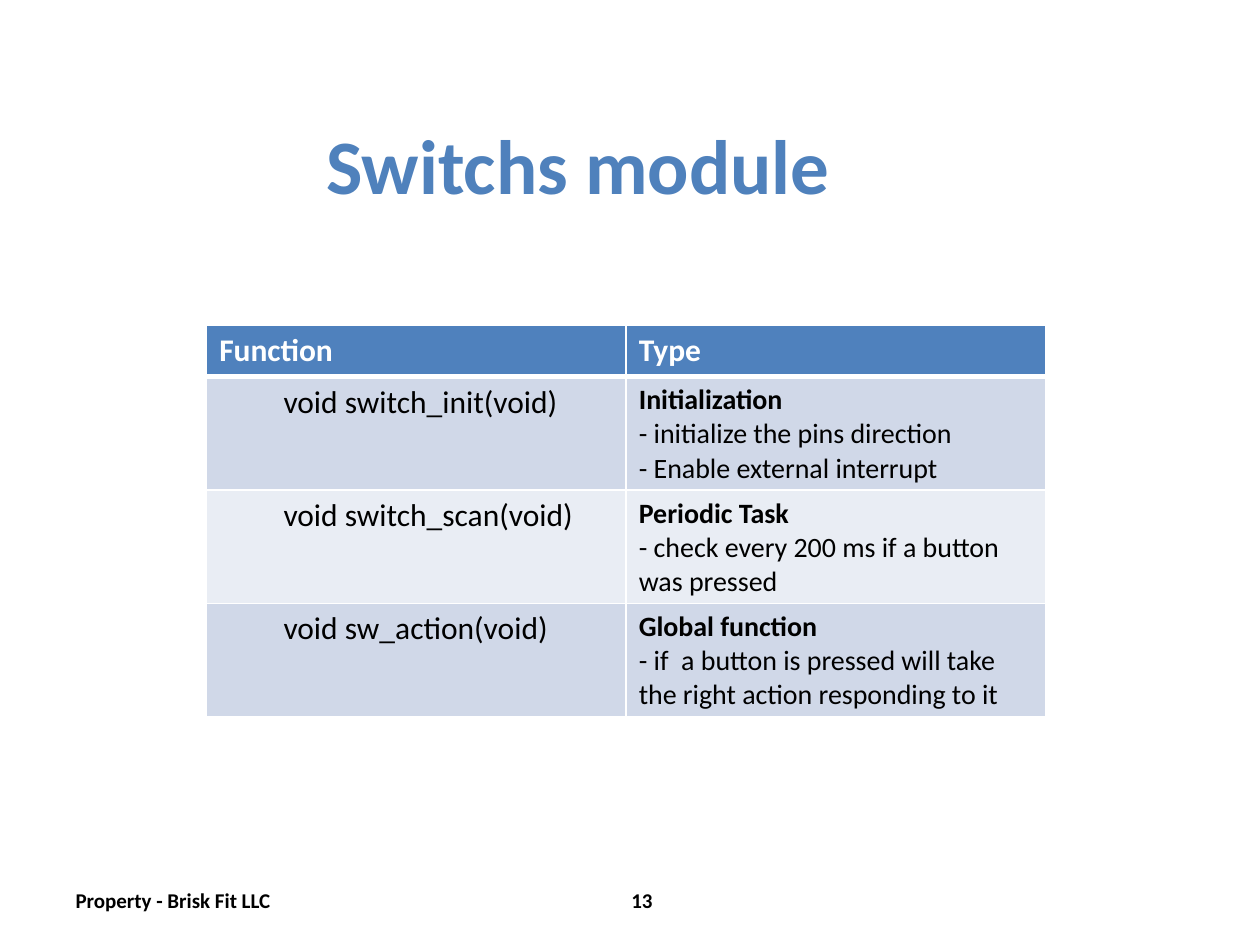
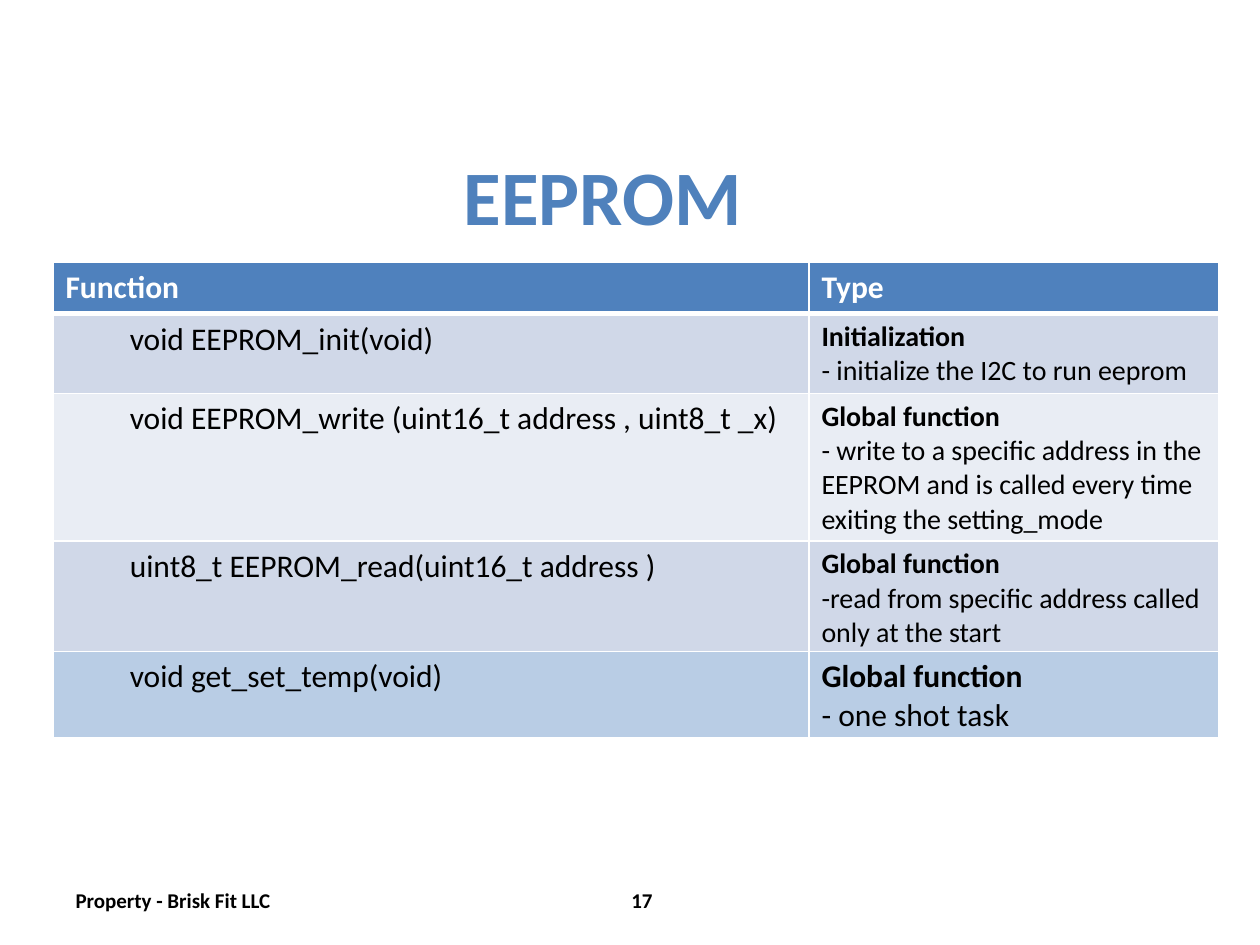
"""Build two slides that list the functions of firmware modules."""
from lxml.etree import SubElement
from pptx import Presentation
from pptx.dml.color import RGBColor
from pptx.enum.text import MSO_ANCHOR, PP_ALIGN
from pptx.oxml.ns import qn
from pptx.util import Inches, Pt

FONT = "Calibri"
TITLE, HEADER = "4F81BC", "4F81BD"
BANDS = ("D0D8E8", "E9EDF4")
HIGHLIGHT = "B9CDE5"
BLACK, WHITE = "000000", "FFFFFF"
HEADER_HEIGHT = 0.41


def color(hex_string):
    return RGBColor.from_string(hex_string)


class Deck:
    def __init__(self):
        self.prs = Presentation()
        self.prs.slide_width, self.prs.slide_height = Inches(10), Inches(7.5)
        self.slide = None

    def style(self, paragraph, size, hex_string, bold=None, indent=0.0):
        paragraph._p.get_or_add_pPr().set("marL", str(Inches(indent)))
        paragraph.alignment = PP_ALIGN.LEFT
        font = paragraph.font
        font.name, font.size, font.bold = FONT, Pt(size), bold
        font.color.rgb = color(hex_string)

    def place(self, shape, left, top, width, height):
        shape.left, shape.top = Inches(left), Inches(top)
        shape.width, shape.height = Inches(width), Inches(height)

    def frame(self, shape, text, margin_top=0.0):
        frame = shape.text_frame
        frame.margin_left = frame.margin_right = frame.margin_bottom = 0
        frame.margin_top = Inches(margin_top)
        frame.vertical_anchor = MSO_ANCHOR.TOP
        frame.word_wrap = True
        frame.text = text
        return frame.paragraphs[0]

    def start(self, heading, left, top, width, number):
        self.slide = self.prs.slides.add_slide(self.prs.slide_layouts[5])
        title = self.slide.shapes.title
        self.place(title, left, top, width, 0.76)
        self.style(self.frame(title, heading, 0.01), 44, TITLE, True, 0.01)
        self.footer("Property - Brisk Fit LLC", 0.59, 1.8, 0.01)
        self.footer(str(number), 4.97, 0.25, 0.04)

    def footer(self, text, left, width, indent):
        box = self.slide.shapes.add_textbox(Inches(left), Inches(7.07), Inches(width), Inches(0.19))
        paragraph = self.frame(box, text)
        paragraph.line_spacing = Pt(12.4)
        self.style(paragraph, 12, BLACK, True, indent)

    def paint(self, cell, fill, top=1, bottom=1):
        properties = cell._tc.get_or_add_tcPr()
        for side, width in (("L", 1), ("R", 1), ("T", top), ("B", bottom)):
            line = SubElement(properties, qn(f"a:ln{side}"), w=str(Pt(width)))
            solid = SubElement(line, qn("a:solidFill"))
            SubElement(solid, qn("a:srgbClr"), val=WHITE)
        cell.fill.solid()
        cell.fill.fore_color.rgb = color(fill)

    def describe(self, cell, kind, details, size):
        first = cell.text_frame.paragraphs[0]
        run = first.add_run()
        run.text, run.font.bold = kind, True
        first.add_line_break()
        first.add_run().text = details[0]
        for detail in details[1:]:
            cell.text_frame.add_paragraph().text = detail
        for paragraph in cell.text_frame.paragraphs:
            self.style(paragraph, size, BLACK)

    def grid(self, left, top, columns, heights):
        table = self.slide.shapes.add_table(
            len(heights), len(columns), Inches(left), Inches(top),
            Inches(sum(columns)), Inches(sum(heights))).table
        for column, width in zip(table.columns, columns):
            column.width = Inches(width)
        for row, height in zip(table.rows, heights):
            row.height = Inches(height)
        return table

    def function_row(self, cells, fill, entry, size=16, top=1, bottom=1):
        signature, kind, *details = entry
        for cell in cells:
            self.paint(cell, fill, top, bottom)
        cells[0].text = signature
        self.style(cells[0].text_frame.paragraphs[0], 18, BLACK, False, 0.51)
        self.describe(cells[1], kind, details, size)

    def function_table(self, left, top, columns, heights, entries):
        table = self.grid(left, top, columns, [HEADER_HEIGHT, *heights])
        for cell, label in zip(table.rows[0].cells, ("Function", "Type")):
            self.paint(cell, HEADER, bottom=3)
            cell.text = label
            self.style(cell.text_frame.paragraphs[0], 18, WHITE, True)
        for index, entry in enumerate(entries):
            cells = list(table.rows[index + 1].cells)
            self.function_row(cells, BANDS[index % 2], entry, top=1 if index else 3)
            cells[1].vertical_anchor = MSO_ANCHOR.MIDDLE

    def highlight_table(self, left, top, columns, height, entry):
        table = self.grid(left, top, columns, [height])
        self.function_row(list(table.rows[0].cells), HIGHLIGHT, entry, size=18, bottom=3)


def main():
    deck = Deck()
    deck.start("Switchs module", 2.58, 0.92, 4.25, 13)
    deck.function_table(1.64, 2.58, (3.33, 3.33), (0.9, 0.9, 0.9), (
        ("void switch_init(void)", "Initialization",
         "- initialize the pins direction", "- Enable external interrupt"),
        ("void switch_scan(void)", "Periodic Task",
         "- check every 200 ms if a button was pressed"),
        ("void sw_action(void)", "Global function",
         "- if  a button is pressed will take the right action responding to it"),
    ))

    eeprom_columns = (6, 3.25)
    deck.start("EEPROM", 3.67, 1.17, 5.92, 17)
    deck.function_table(0.42, 2.08, eeprom_columns, (0.63, 1.17, 0.9), (
        ("void EEPROM_init(void)", "Initialization",
         "- initialize the I2C to run eeprom"),
        ("void EEPROM_write (uint16_t address , uint8_t _x)", "Global function",
         "- write to a specific address in the EEPROM and is called every time "
         "exiting the setting_mode"),
        ("uint8_t EEPROM_read(uint16_t address )", "Global function",
         "-read from specific address called only at the start"),
    ))
    deck.highlight_table(0.42, 5.17, eeprom_columns, 0.7, (
        "void get_set_temp(void)", "Global function", "- one shot task"))
    deck.prs.save("out.pptx")


if __name__ == "__main__":
    main()
